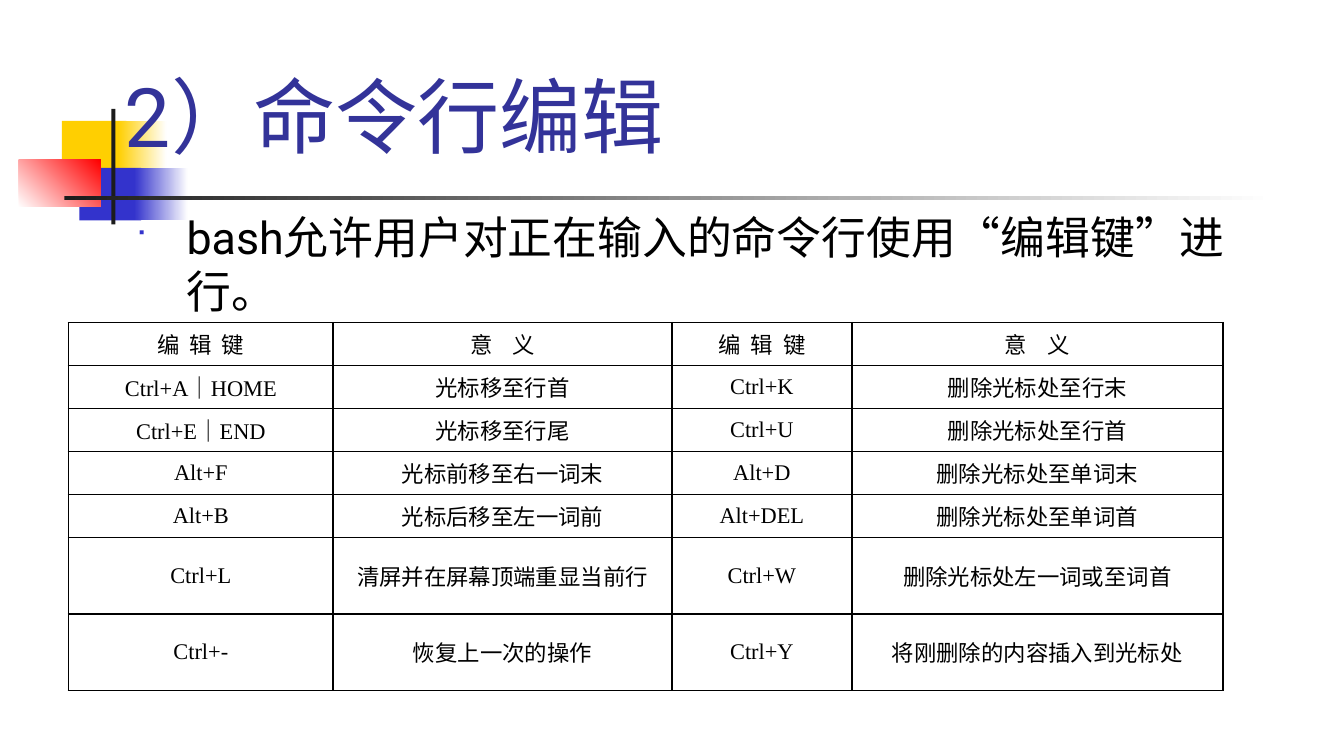
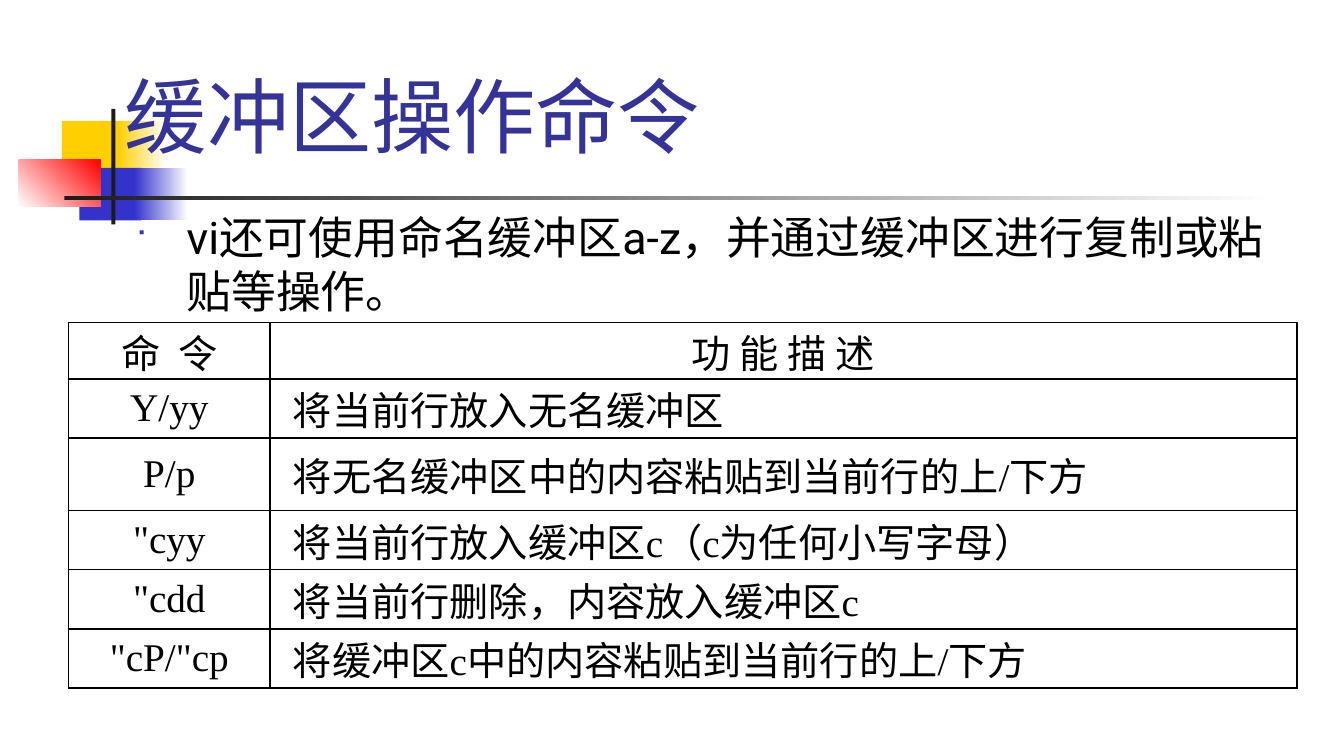
from lxml.etree import SubElement
from pptx import Presentation
from pptx.dml.color import RGBColor
from pptx.enum.shapes import MSO_SHAPE
from pptx.enum.text import MSO_ANCHOR, MSO_AUTO_SIZE, PP_ALIGN
from pptx.oxml.ns import qn
from pptx.util import Inches, Pt

BLACK = RGBColor(0x00, 0x00, 0x00)
WHITE = RGBColor(0xFF, 0xFF, 0xFF)
CHARCOAL = RGBColor(0x1C, 0x1C, 0x1C)
YELLOW = RGBColor(0xFF, 0xCF, 0x01)
BLUE = RGBColor(0x33, 0x33, 0xCC)
RED = RGBColor(0xFF, 0x00, 0x00)
TITLE_BLUE = RGBColor(0x33, 0x33, 0x99)

HEADING_FONT = "Roboto"
TABLE_FONT = "Times New Roman"

ORNAMENTS = [
    ((0.46, 0.9, 0.48, 0.39), YELLOW, None, 0),
    ((0.88, 0.9, 0.36, 0.39), YELLOW, WHITE, 0),
    ((0.59, 1.25, 0.46, 0.39), BLUE, None, 0),
    ((1, 1.25, 0.4, 0.39), BLUE, WHITE, 0),
    ((0.14, 1.19, 0.61, 0.35), WHITE, RED, 45),
    ((0.83, 0.81, 0.03, 0.86), CHARCOAL, None, 0),
    ((0.48, 1.46, 9, 0.03), CHARCOAL, WHITE, 0),
]

PAGES = [
    {
        "title": "2）命令行编辑",
        "intro": "bash允许用户对正在输入的命令行使用“编辑键”进行。",
        "columns": [1.97, 2.52, 1.34, 2.76],
        "heights": [0.32] * 5 + [0.57] * 2,
        "size": 12,
        "divider": 2,
        "justified": None,
        "rows": [
            ["编  辑  键", "意    义", "编  辑  键", "意    义"],
            ["Ctrl+A｜HOME", "光标移至行首", "Ctrl+K", "删除光标处至行末"],
            ["Ctrl+E｜END", "光标移至行尾", "Ctrl+U", "删除光标处至行首"],
            ["Alt+F", "光标前移至右一词末", "Alt+D", "删除光标处至单词末"],
            ["Alt+B", "光标后移至左一词前", "Alt+DEL", "删除光标处至单词首"],
            ["Ctrl+L", "清屏并在屏幕顶端重显当前行", "Ctrl+W", "删除光标处左一词或至词首"],
            ["Ctrl+-", "恢复上一次的操作", "Ctrl+Y", "将刚删除的内容插入到光标处"],
        ],
    },
    {
        "title": "缓冲区操作命令",
        "intro": "vi还可使用命名缓冲区a-z，并通过缓冲区进行复制或粘贴等操作。",
        "columns": [1.5, 7.64],
        "heights": [0.42, 0.44, 0.54, 0.44, 0.44, 0.44],
        "size": 21,
        "divider": None,
        "justified": 1,
        "rows": [
            ["命  令", "功 能 描 述"],
            ["Y/yy", "将当前行放入无名缓冲区"],
            ["P/p", "将无名缓冲区中的内容粘贴到当前行的上/下方"],
            ['"cyy', "将当前行放入缓冲区c（c为任何小写字母）"],
            ['"cdd', "将当前行删除，内容放入缓冲区c"],
            ['"cP/"cp', "将缓冲区c中的内容粘贴到当前行的上/下方"],
        ],
    },
]


def set_font(paragraph, name, size, color):
    paragraph.font.name = name
    paragraph.font.size = Pt(size)
    paragraph.font.color.rgb = color


def add_border(cell, side, width):
    line = SubElement(cell._tc.get_or_add_tcPr(), qn(f"a:ln{side}"), w=str(Pt(width)))
    solid = SubElement(line, qn("a:solidFill"))
    SubElement(solid, qn("a:srgbClr"), val=str(BLACK))


prs = Presentation()
prs.slide_width = Inches(10)
prs.slide_height = prs.slide_width * 9 // 16

for page in PAGES:
    slide = prs.slides.add_slide(prs.slide_layouts[5])

    for box, color, fade, angle in ORNAMENTS:
        ornament = slide.shapes.add_shape(MSO_SHAPE.RECTANGLE, *map(Inches, box))
        ornament.shadow.inherit = False
        ornament.line.fill.background()
        if fade is None:
            ornament.fill.solid()
            ornament.fill.fore_color.rgb = color
        else:
            ornament.fill.gradient()
            ornament.fill.gradient_angle = angle
            for stop, stop_color in zip(ornament.fill.gradient_stops, (color, fade)):
                stop.color.rgb = stop_color

    title = slide.shapes.title
    title._element.getparent().append(title._element)
    title.left, title.top, title.width, title.height = map(Inches, (0.83, 0.33, 8.92, 0.94))
    title.text_frame.text = page["title"]
    title.text_frame.auto_size = MSO_AUTO_SIZE.NONE
    title.text_frame.vertical_anchor = MSO_ANCHOR.BOTTOM
    heading = title.text_frame.paragraphs[0]
    heading.alignment = PP_ALIGN.LEFT
    set_font(heading, HEADING_FONT, 44, TITLE_BLUE)

    intro_frame = slide.shapes.add_textbox(*map(Inches, (0.91, 1.51, 8.89, 3.6))).text_frame
    intro_frame.word_wrap = True
    intro = intro_frame.paragraphs[0]
    intro.text = page["intro"]
    intro_props = intro._p.get_or_add_pPr()
    intro_props.set("marL", str(Inches(0.38)))
    intro_props.set("indent", str(Inches(-0.38)))
    intro_props.set("hangingPunct", "0")
    bullet_color = SubElement(intro_props, qn("a:buClr"))
    SubElement(bullet_color, qn("a:srgbClr"), val=str(BLUE))
    SubElement(intro_props, qn("a:buSzPct"), val="60000")
    SubElement(intro_props, qn("a:buFont"), typeface="Wingdings")
    SubElement(intro_props, qn("a:buChar"), char="■")
    set_font(intro, HEADING_FONT, 24, BLACK)

    rows, columns, heights = page["rows"], page["columns"], page["heights"]
    commands = slide.shapes.add_table(
        len(rows), len(columns), Inches(0.51), Inches(2.4),
        Inches(sum(columns)), Inches(sum(heights)),
    ).table
    commands.first_row = False
    commands.horz_banding = False
    for column, width in zip(commands.columns, columns):
        column.width = Inches(width)
    for row, height in zip(commands.rows, heights):
        row.height = Inches(height)

    for r, texts in enumerate(rows):
        for c, text in enumerate(texts):
            cell = commands.cell(r, c)
            cell.text = text
            cell.vertical_anchor = MSO_ANCHOR.MIDDLE
            cell.margin_left = cell.margin_right = Inches(0.07)
            cell.margin_top = cell.margin_bottom = 0
            entry = cell.text_frame.paragraphs[0]
            entry.alignment = PP_ALIGN.CENTER
            if r > 0 and c == page["justified"]:
                entry.alignment = PP_ALIGN.JUSTIFY
                entry._p.get_or_add_pPr().set("indent", str(Inches(0.1)))
            set_font(entry, TABLE_FONT, page["size"], BLACK)
            add_border(cell, "L", 1.5 if c == page["divider"] else 1)
            add_border(cell, "R", 1.5 if c + 1 == page["divider"] else 1)
            add_border(cell, "T", 1)
            add_border(cell, "B", 1)
            cell.fill.background()

prs.save("out.pptx")
